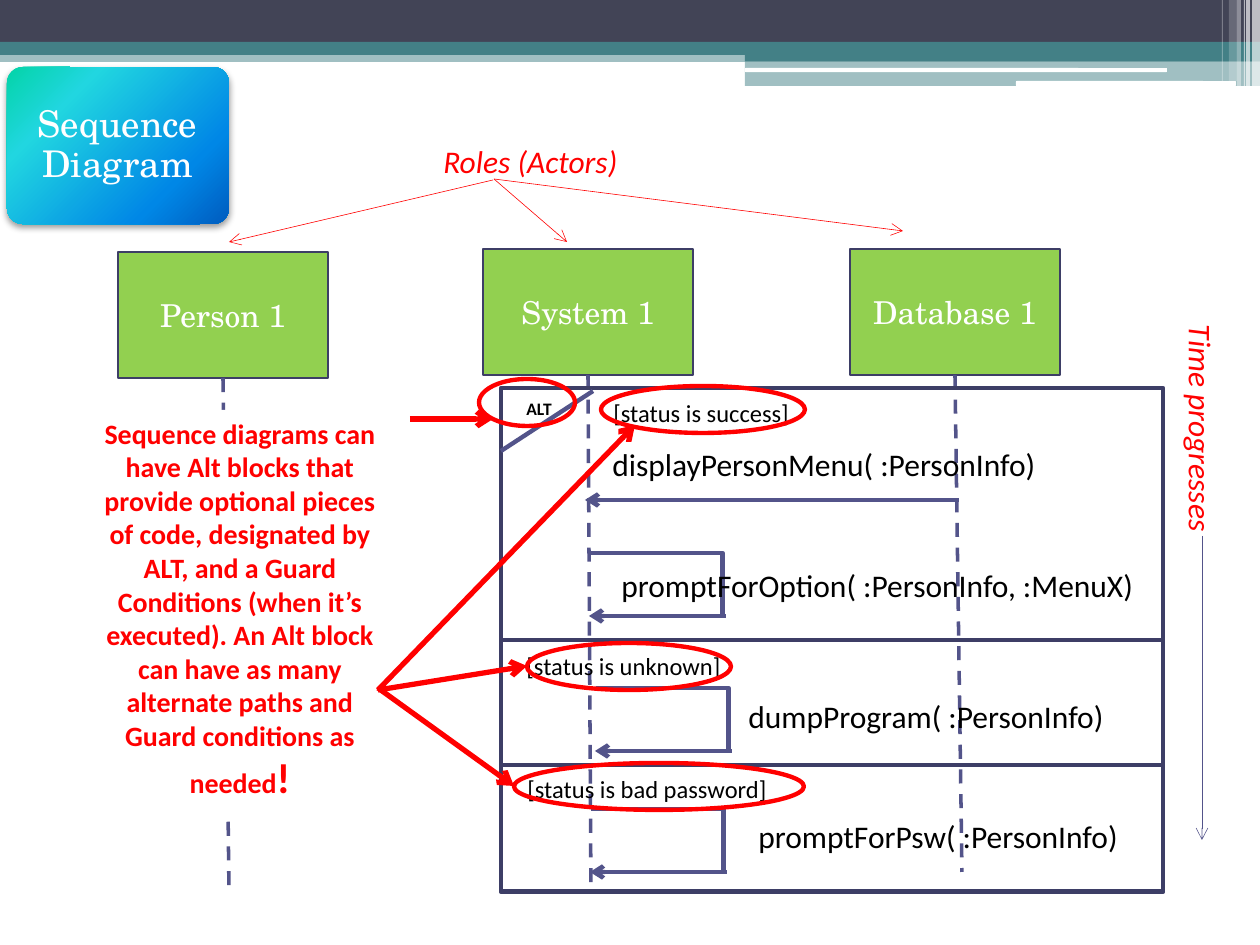
import pptx
import pptx.dml.color
import pptx.enum.dml
import pptx.enum.shapes
import pptx.enum.text
import pptx.oxml
import pptx.oxml.ns
import pptx.util

RGB = pptx.dml.color.RGBColor
SHAPE = pptx.enum.shapes.MSO_SHAPE
CONNECTOR = pptx.enum.shapes.MSO_CONNECTOR
ALIGN = pptx.enum.text.PP_ALIGN
ANCHOR = pptx.enum.text.MSO_ANCHOR
qn = pptx.oxml.ns.qn

WHITE, BLACK, RED = RGB(255, 255, 255), RGB(0, 0, 0), RGB(255, 0, 0)
TEAL, SLATE = RGB(0x43, 0x80, 0x86), RGB(0x42, 0x44, 0x56)
GREEN, NAVY, INDIGO = RGB(0x92, 0xD0, 0x50), RGB(0x3D, 0x3E, 0x66), RGB(0x53, 0x54, 0x8A)
SERIF, SANS = "TeX Gyre Schola", "Calibri"
EMU_PER_PX = 914400 / 126

# shape, place, colour, opacity in percent
BANDS = [
    (SHAPE.RECTANGLE, (0, 50, 1260, 12), TEAL, 50),
    (SHAPE.RECTANGLE, (0, 0, 1260, 42), SLATE, 100),
    (SHAPE.RECTANGLE, (0, 42, 1260, 13), TEAL, 100),
    (SHAPE.RECTANGLE, (745, 49, 515, 12), TEAL, 100),
    (SHAPE.RECTANGLE, (745, 61, 515, 25), TEAL, 50),
    (SHAPE.ROUNDED_RECTANGLE, (745, 68, 422, 4), WHITE, 100),
    (SHAPE.ROUNDED_RECTANGLE, (1016, 81, 220, 5), WHITE, 100),
]
# left, width, height, opacity in percent
STRIPES = [(1252, 8, 86, 65), (1246, 4, 86, 65), (1244, 1, 86, 60),
           (1237, 4, 86, 40), (1229, 8, 81, 20), (1222, 1, 81, 30)]
TITLE_STOPS = [(0, "03D4A8"), (25, "21D6E0"), (75, "0087E6"), (100, "005CBF")]

# name, left, top, lower end of the lifeline
ROLES = [("Person 1", 118, 252, (229, 892)),
         ("System 1", 483, 249, (591, 892)),
         ("Database 1", 850, 249, (962, 872))]
ROLE_SIZE = (210, 126)

# text, place
CALLS = [("displayPersonMenu( :PersonInfo)", (600, 439, 461, 50)),
         ("promptForOption( :PersonInfo, :MenuX)", (609, 560, 543, 50)),
         ("dumpProgram( :PersonInfo)", (736, 691, 392, 50)),
         ("promptForPsw( :PersonInfo)", (746, 811, 389, 50))]
SELF_CALLS = [(590, 553), (596, 688), (591, 809)]
SELF_CALL_SIZE = (136, 63)
FRAMES = [(388, 252), (640, 252), (765, 126)]  # top, height
GUARDS = [("[status is success]", (601, 392, 203, 43)),
          ("[status is unknown]", (514, 645, 222, 43)),
          ("[status is bad password]", (515, 768, 267, 43))]
RINGS = [(514, 763, 290, 47), (479, 379, 96, 47), (601, 386, 204, 47), (527, 643, 204, 47)]

ROLE_ARROWS = [((493, 180), (229, 242)), ((494, 179), (567, 242)), ((494, 179), (903, 231))]
NOTE_ARROWS = [((378, 690), (635, 425)), ((410, 419), (493, 419)),
               ((378, 690), (527, 666)), ((378, 688), (514, 786))]
NOTE = [("Sequence diagrams can have Alt blocks that provide optional pieces of code, "
         "designated by ALT, and a Guard Conditions (when it’s executed). An Alt block "
         "can have as many alternate paths and Guard conditions as needed", 16), ("!", 24)]


def px(*lengths):
    return [round(length * EMU_PER_PX) for length in lengths]


def add_xml(parent, tag, inner="", **attributes):
    listed = "".join(f' {name}="{value}"' for name, value in attributes.items())
    parent.append(pptx.oxml.parse_xml(
        f"<a:{tag} {pptx.oxml.ns.nsdecls('a')}{listed}>{inner}</a:{tag}>"))


def write(box, spans, size=18, font=SANS, color=BLACK, bold=False, italic=False,
          align=ALIGN.LEFT, anchor=ANCHOR.TOP, wrap=True):
    """Fill a box with one paragraph; spans is a text or a list of (text, size)."""
    frame = box.text_frame
    frame.word_wrap, frame.vertical_anchor = wrap, anchor
    para = frame.paragraphs[0]
    para.alignment = align
    for text, points in [(spans, size)] if isinstance(spans, str) else spans:
        span = para.add_run()
        span.text = text
        span.font.size, span.font.name = pptx.util.Pt(points), font
        span.font.bold, span.font.italic = bold, italic
        span.font.color.rgb = color
    return para


def add_text(page, place, spans, **look):
    box = page.shapes.add_textbox(*px(*place))
    write(box, spans, **look)
    box.text_frame.auto_size = pptx.enum.text.MSO_AUTO_SIZE.SHAPE_TO_FIT_TEXT
    return box


def add_shape(page, kind, place, fill=None, opacity=100, line=None, width=1.0):
    shape = page.shapes.add_shape(kind, *px(*place))
    shape.shadow.inherit = False
    if fill is None:
        shape.fill.background()
    else:
        shape.fill.solid()
        shape.fill.fore_color.rgb = fill
        if opacity < 100:
            add_xml(shape.element.spPr.find(".//" + qn("a:srgbClr")), "alpha", val=opacity * 1000)
    if line is None:
        shape.line.fill.background()
    else:
        shape.line.color.rgb, shape.line.width = line, pptx.util.Pt(width)
    return shape


def add_line(page, start, end, color, width, kind=CONNECTOR.STRAIGHT, arrow=False, dash=False):
    line = page.shapes.add_connector(kind, *px(*start, *end))
    line.line.color.rgb, line.line.width = color, pptx.util.Pt(width)
    if dash:
        line.line.dash_style = pptx.enum.dml.MSO_LINE.DASH
    if arrow:
        add_xml(line.line._get_or_add_ln(), "tailEnd", type="arrow")
    add_xml(line.element.spPr, "effectLst")
    return line


def add_title(page):
    card = add_shape(page, SHAPE.ROUNDED_RECTANGLE, (7, 67, 222, 157), fill=WHITE)
    card.adjustments[0] = 0.1
    properties = card.element.spPr
    stops = "".join(f'<a:gs pos="{at * 1000}"><a:srgbClr val="{color}"/></a:gs>'
                    for at, color in TITLE_STOPS)
    add_xml(properties, "gradFill", f'<a:gsLst>{stops}</a:gsLst><a:lin ang="2700000" scaled="0"/>')
    solid = properties.find(qn("a:solidFill"))
    properties.replace(solid, properties[-1])
    add_xml(properties.find(qn("a:effectLst")), "outerShdw",
            '<a:srgbClr val="000000"><a:alpha val="40000"/></a:srgbClr>',
            blurRad=52000, dist=25400, dir=5400000, rotWithShape=0)

    title = page.shapes.title
    title.left, title.top, title.width, title.height = px(11, 72, 213, 147)
    frame = title.text_frame
    frame.margin_left = frame.margin_right = frame.margin_top = frame.margin_bottom = px(11)[0]
    para = write(title, "Sequence Diagram", size=21, font=SERIF, color=WHITE,
                 align=ALIGN.CENTER, anchor=ANCHOR.MIDDLE)
    para.line_spacing = 0.9
    card.element.addnext(title.element)


def main():
    deck = pptx.Presentation()
    deck.slide_width, deck.slide_height = px(1260, 945)
    page = deck.slides.add_slide(deck.slide_layouts[5])

    for kind, place, color, opacity in BANDS:
        add_shape(page, kind, place, color, opacity)
    for left, width, height, opacity in STRIPES:
        add_shape(page, SHAPE.RECTANGLE, (left, 0, width, height), WHITE, opacity)
    add_title(page)

    for name, left, top, foot in ROLES:
        role = add_shape(page, SHAPE.RECTANGLE, (left, top, *ROLE_SIZE), GREEN, line=NAVY, width=1.5)
        write(role, name, font=SERIF, color=WHITE, align=ALIGN.CENTER, anchor=ANCHOR.MIDDLE)
        add_line(page, (left, top), foot, INDIGO, 2, dash=True).begin_connect(role, 2)

    label = dict(color=RED, italic=True)
    add_text(page, (1028, 461, 347, 50), "Time progresses", **label).rotation = 90
    add_line(page, (1202, 536), (1202, 840), INDIGO, 0.35, arrow=True)
    add_text(page, (431, 136, 242, 50), "Roles (Actors)", **label)
    for start, end in ROLE_ARROWS:
        add_line(page, start, end, RED, 0.35, arrow=True)

    add_line(page, (959, 500), (585, 500), INDIGO, 2.5, arrow=True)
    width, height = SELF_CALL_SIZE
    for left, top in SELF_CALLS:
        bottom = top + height
        add_line(page, (left + width - 1, bottom), (left - 1, bottom), INDIGO, 2.5, arrow=True)
        bend = add_line(page, (left, top), (left + width, bottom), INDIGO, 2.75, CONNECTOR.ELBOW)
        add_xml(bend.element.spPr.find(".//" + qn("a:avLst")), "gd", name="adj1", fmla="val 97400")
    for text, place in CALLS:
        add_text(page, place, text, wrap=False)

    for top, height in FRAMES:
        add_shape(page, SHAPE.RECTANGLE, (501, top, 662, height), line=NAVY, width=2.5)
    add_text(page, (514, 392, 68, 34), "ALT", size=10, bold=True)
    add_line(page, (501, 451), (593, 391), INDIGO, 2.5)

    note = add_text(page, (84, 410, 312, 403), NOTE, color=RED, bold=True, align=ALIGN.CENTER)
    note.fill.solid()
    note.fill.fore_color.rgb = WHITE
    for text, place in GUARDS:
        add_text(page, place, text, size=14, wrap=False)
    for place in RINGS:
        add_shape(page, SHAPE.OVAL, place, line=RED, width=2.5)
    for start, end in NOTE_ARROWS:
        add_line(page, start, end, RED, 3, arrow=True)

    deck.save("out.pptx")


if __name__ == "__main__":
    main()
